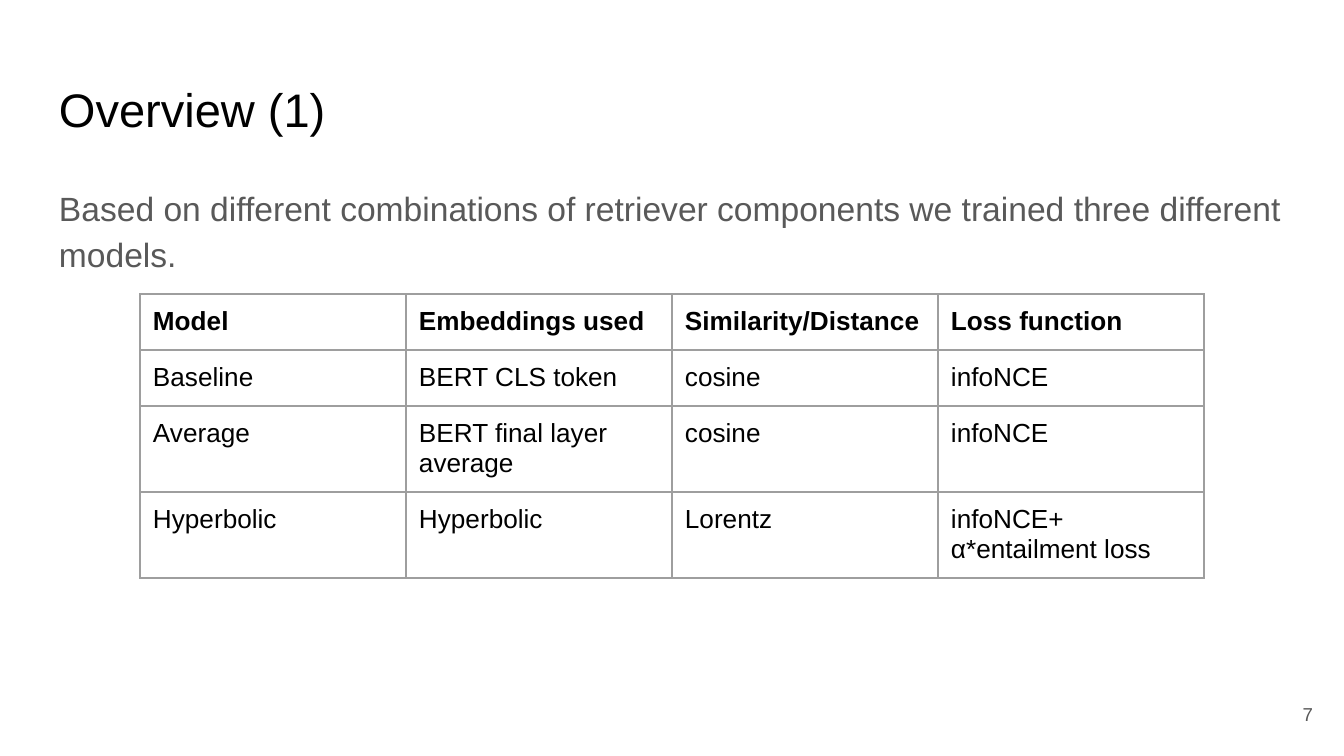
from lxml.etree import SubElement
from pptx import Presentation
from pptx.dml.color import RGBColor
from pptx.enum.text import MSO_ANCHOR as Anchor, MSO_AUTO_SIZE as AutoSize, PP_ALIGN as Align
from pptx.oxml.ns import qn
from pptx.util import Pt

EMU_PER_PX = 914400 / 134.4
BLACK = RGBColor(0x00, 0x00, 0x00)
GRAY = RGBColor(0x59, 0x59, 0x59)
BORDER = RGBColor(0x9E, 0x9E, 0x9E)
PADDING = 13

MODELS = [
    ["Model", "Embeddings used", "Similarity/Distance", "Loss function"],
    ["Baseline", "BERT CLS token", "cosine", "infoNCE"],
    ["Average", "BERT final layer average", "cosine", "infoNCE"],
    ["Hyperbolic", "Hyperbolic", "Lorentz", "infoNCE+\nα*entailment loss"],
]
ROW_HEIGHTS = [56, 56, 86, 86]


def px(length):
    return round(length * EMU_PER_PX)


def set_padding(holder):
    holder.margin_left = holder.margin_right = px(PADDING)
    holder.margin_top = holder.margin_bottom = px(PADDING)


def write(frame, text, size, color=BLACK, bold=False, align=Align.LEFT,
          line_spacing=None, space_after=0):
    """Fill the frame with one paragraph for each line of text."""
    for index, line in enumerate(text.split("\n")):
        para = frame.add_paragraph() if index else frame.paragraphs[0]
        para.alignment = align
        para.line_spacing = line_spacing
        para.space_before = Pt(0)
        para.space_after = Pt(space_after)
        span = para.add_run()
        span.text = line
        span.font.name = "Arial"
        span.font.size = Pt(size)
        span.font.bold = bold
        span.font.color.rgb = color


def prepare_frame(frame, anchor):
    frame.word_wrap = True
    frame.auto_size = AutoSize.NONE
    frame.vertical_anchor = anchor
    set_padding(frame)


def add_text(page, box, text, anchor=Anchor.TOP, **style):
    shape = page.shapes.add_textbox(*map(px, box))
    prepare_frame(shape.text_frame, anchor)
    write(shape.text_frame, text, **style)


def set_title(page, box, text):
    title = page.shapes.title
    title.left, title.top, title.width, title.height = map(px, box)
    prepare_frame(title.text_frame, Anchor.MIDDLE)
    write(title.text_frame, text, size=25.2)


def add_borders(cell):
    properties = cell._tc.get_or_add_tcPr()
    for side in ("a:lnL", "a:lnR", "a:lnT", "a:lnB"):
        line = SubElement(properties, qn(side), w=str(Pt(0.75)))
        fill = SubElement(line, qn("a:solidFill"))
        SubElement(fill, qn("a:srgbClr"), val=str(BORDER))


def add_model_table(page, box):
    table = page.shapes.add_table(len(MODELS), len(MODELS[0]), *map(px, box)).table
    table.horz_banding = False
    for column in table.columns:
        column.width = px(box[2] / len(MODELS[0]))
    for row, height in zip(table.rows, ROW_HEIGHTS):
        row.height = px(height)
    for r, values in enumerate(MODELS):
        for c, value in enumerate(values):
            cell = table.cell(r, c)
            set_padding(cell)
            cell.vertical_anchor = Anchor.TOP
            add_borders(cell)
            cell.fill.background()
            write(cell.text_frame, value, size=14, bold=r == 0)


def build_overview(deck):
    page = deck.slides.add_slide(deck.slide_layouts[5])
    set_title(page, (46, 66, 1252, 85), "Overview (1)")
    add_text(page, (46, 169, 1252, 503),
             "Based on different combinations of retriever components "
             "we trained three different models.",
             size=18, color=GRAY, line_spacing=1.15, space_after=12)
    add_model_table(page, (140, 294, 1064, sum(ROW_HEIGHTS)))
    add_text(page, (1246, 685, 80, 58), "7", anchor=Anchor.MIDDLE,
             size=10, color=GRAY, align=Align.RIGHT)


def main():
    deck = Presentation()
    deck.slide_width, deck.slide_height = px(1344), px(756)
    build_overview(deck)
    deck.save("out.pptx")


if __name__ == "__main__":
    main()
